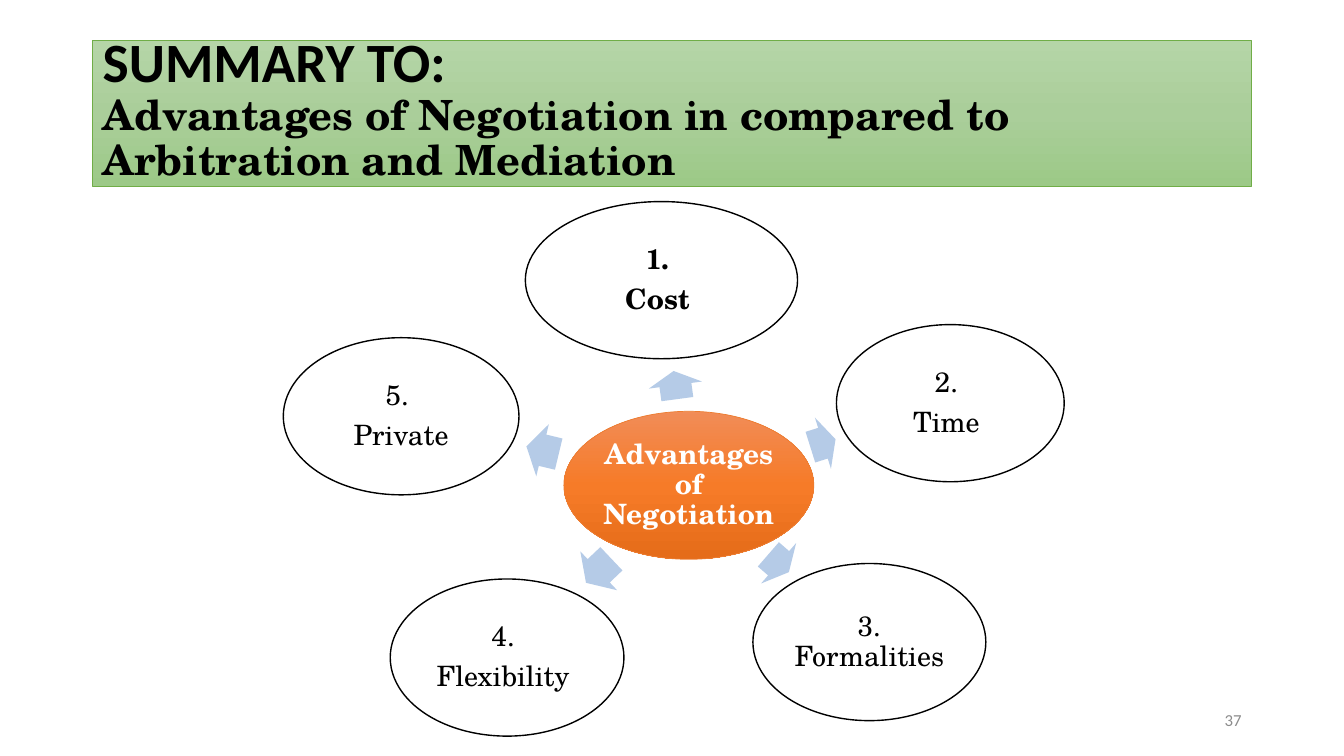
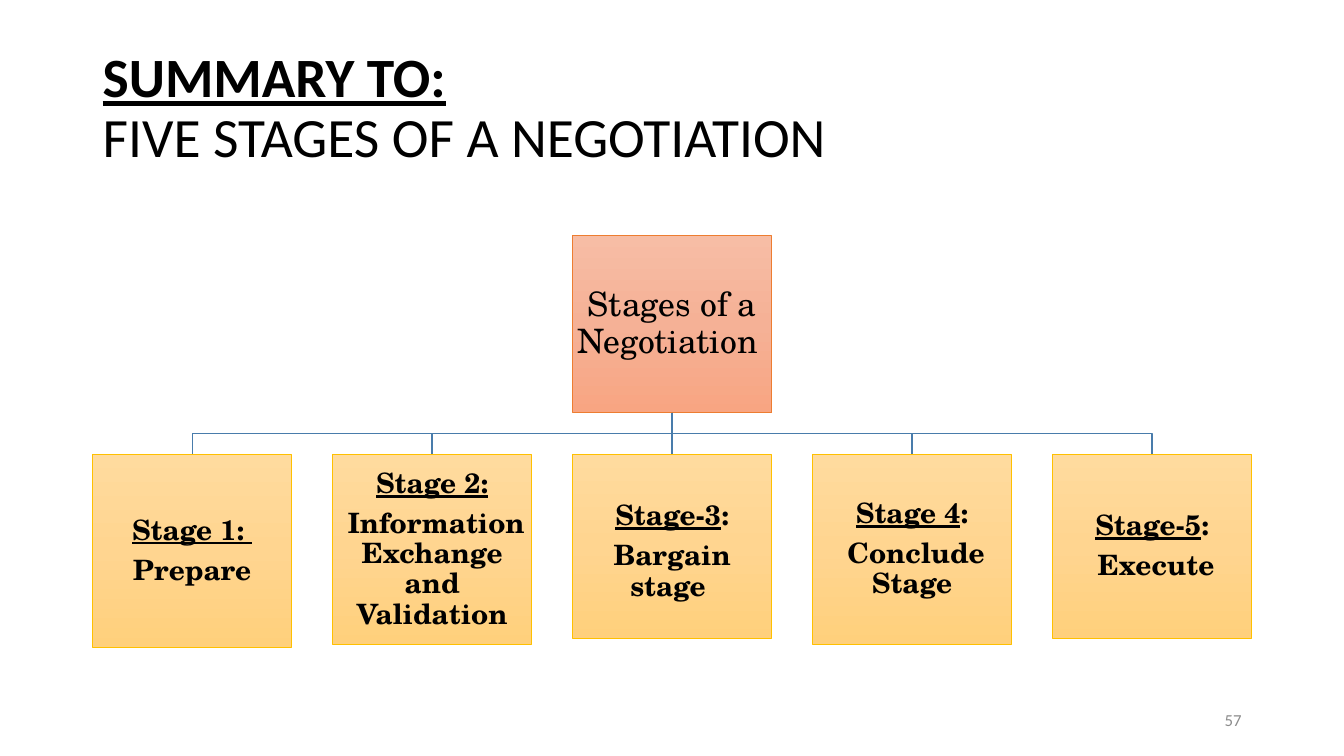
"""Build two summary slides on negotiation: advantages and stages."""
from copy import deepcopy
from math import atan2, cos, degrees, hypot, sin

from pptx import Presentation
from pptx.dml.color import RGBColor
from pptx.enum.shapes import MSO_CONNECTOR, MSO_SHAPE
from pptx.enum.text import MSO_ANCHOR, PP_ALIGN
from pptx.oxml.ns import qn
from pptx.util import Cm, Pt

COLORS = {
    "ink": "000000", "white": "FFFFFF", "gray": "8C8C8C",
    "arrow": "B5CBE7", "wire": "497CAB",
    "green": "70AD47", "orange": "ED7D31", "gold": "FFC000",
}
FADES = {
    "band": ("B5D5A7", "AACE9A", "9CC987"),
    "hub": ("F18C57", "F67B28", "E56C19"),
    "root": ("F7BDA5", "F5B196", "F8A582"),
    "stage": ("FFDB9E", "FFD590", "FFD07C"),
}
SANS, SERIF = "Calibri", "TeX Gyre Schola"

HEAD = (2.34, 1.02, 29.2, 3.68)
FOOT = (23.92, 17.67, 7.62, 1.02)

HUB = ("Advantages of Negotiation ", 17.36, 12.23, 6.3, 3.73)
NODES = [
    (["1. ", "Cost "], 16.67, 7.06, 6.86, True),
    (["2. ", "Time "], 23.95, 10.16, 5.74, False),
    (["3. Formalities"], 21.91, 16.18, 5.87, False),
    (["4. ", "Flexibility "], 12.78, 16.57, 5.89, False),
    (["5. ", "Private"], 10.11, 10.49, 5.94, False),
]
NODE_H = 3.96
ARROW_W, ARROW_PART = 1.35, 0.53

ROOT = ("Stages of a Negotiation ", 5.94, 4.46)
STAGES = [
    ("Stage 1: ", "", "Prepare", 4.85, 0),
    ("Stage 2:", "", " Information Exchange and Validation", 4.78, 0),
    ("Stage-3", ":", "Bargain stage ", 4.62, 0.3),
    ("Stage 4", ":", " Conclude Stage", 4.78, 0),
    ("Stage-5", ":", " Execute", 4.62, 0),
]
STAGE_W, STAGE_TOP = 5.01, 11.46


def rgb(name):
    return RGBColor.from_string(COLORS[name])


def write(shape, lines, size, font=SERIF, color="ink", bold=False,
          align=PP_ALIGN.CENTER, gap=7, inset=0.03):
    """Fill a shape with lines; each is a string or a list of (text, underline)."""
    frame = shape.text_frame
    frame.word_wrap = True
    frame.vertical_anchor = MSO_ANCHOR.MIDDLE
    frame.margin_left = frame.margin_right = Cm(inset)
    frame.margin_top = frame.margin_bottom = Cm(0.03)
    for i, line in enumerate(lines):
        para = frame.paragraphs[0] if i == 0 else frame.add_paragraph()
        para.alignment, para.line_spacing = align, 0.9
        if i and gap:
            para.space_before = Pt(gap)
        para.font.size, para.font.name = Pt(size), font
        para.font.bold, para.font.color.rgb = bold, rgb(color)
        for text, under in [(line, False)] if isinstance(line, str) else line:
            run = para.add_run()
            run.text = text
            if under:
                run.font.underline = True
    return frame


def fade(fill, tones):
    """Give a fill three evenly spaced stops from top to bottom."""
    fill.gradient()
    fill.gradient_angle = 270
    stops = fill.gradient_stops[0]._gs.getparent()
    stops.insert(1, deepcopy(stops[0]))
    for i, (stop, tone) in enumerate(zip(fill.gradient_stops, tones)):
        stop.color.rgb = RGBColor.from_string(tone)
        stop.position = i / 2


def draw(slide, kind, box, fill=None, line=None, width=0.5):
    shape = slide.shapes.add_shape(kind, *map(Cm, box))
    shape.shadow.inherit = False
    if fill in FADES:
        fade(shape.fill, FADES[fill])
    else:
        shape.fill.solid()
        shape.fill.fore_color.rgb = rgb(fill)
    if line:
        shape.line.color.rgb, shape.line.width = rgb(line), Pt(width)
    else:
        shape.line.fill.background()
    return shape


def oval(slide, x, y, w, h, *style):
    return draw(slide, MSO_SHAPE.OVAL, (x - w / 2, y - h / 2, w, h), *style)


def wire(slide, mid, base, x):
    """Join the root to a stage: straight below it, else with two bends."""
    bar = (base + STAGE_TOP) / 2
    if abs(x - mid) < 0.01:
        ends = map(Cm, (mid, base, mid, STAGE_TOP))
        line = slide.shapes.add_connector(MSO_CONNECTOR.STRAIGHT, *ends)
        props = line._element.spPr
        props.append(props.makeelement(qn("a:effectLst"), {}))
    else:
        pen = slide.shapes.build_freeform(Cm(mid), Cm(base))
        bends = [(mid, bar), (x, bar), (x, STAGE_TOP)]
        pen.add_line_segments([(Cm(a), Cm(b)) for a, b in bends], close=False)
        line = pen.convert_to_shape()
        line.shadow.inherit = False
        line.fill.background()
    line.line.color.rgb, line.line.width = rgb("wire"), Pt(1)


def start(deck, lines, number, band=False):
    """Add a slide with its title and number."""
    slide = deck.slides.add_slide(deck.slide_layouts[6])
    if band:
        head = draw(slide, MSO_SHAPE.RECTANGLE, HEAD, "band", "green")
    else:
        head = slide.shapes.add_textbox(*map(Cm, HEAD))
    frame = write(head, lines, 39.6, SANS, align=PP_ALIGN.LEFT, gap=0, inset=0.25)
    frame.margin_bottom = Cm(0.22)
    frame.paragraphs[0].font.bold = True
    foot = slide.shapes.add_textbox(*map(Cm, FOOT))
    write(foot, [number], 12, SANS, "gray", align=PP_ALIGN.RIGHT, inset=0.25)
    return slide, frame


def reach(w, h, turn):
    """Distance from an oval's centre to its edge at an angle."""
    return 1 / hypot(2 * cos(turn) / w, 2 * sin(turn) / h)


def gains(deck):
    title = ["SUMMARY TO:",
             "Advantages of Negotiation in compared to Arbitration and Mediation"]
    slide, frame = start(deck, title, "37", band=True)
    font = frame.paragraphs[1].font
    font.size, font.name, font.bold = Pt(29.7), SERIF, True
    text, hx, hy, hw, hh = HUB
    hub = oval(slide, hx, hy, hw, hh, "hub", "orange")
    write(hub, [text], 20, color="white", bold=True)
    for lines, x, y, w, bold in NODES:
        turn = atan2(y - hy, x - hx)
        near = reach(hw, hh, turn)
        far = hypot(x - hx, y - hy) - reach(w, NODE_H, turn)
        mid, size = (near + far) / 2, (far - near) * ARROW_PART
        box = (hx + mid * cos(turn) - size / 2,
               hy + mid * sin(turn) - ARROW_W / 2, size, ARROW_W)
        arrow = draw(slide, MSO_SHAPE.RIGHT_ARROW, box, "arrow")
        arrow.adjustments[0], arrow.adjustments[1] = 0.6, 0.5
        arrow.rotation = degrees(turn) % 360
        node = oval(slide, x, y, w, NODE_H, "white", "ink", 1)
        write(node, lines, 20, bold=bold)


def steps(deck):
    title = [[("SUMMARY TO:", True)], "FIVE STAGES OF A NEGOTIATION"]
    slide, _ = start(deck, title, "57")
    left, _, span, _ = HEAD
    step = (span - STAGE_W) / (len(STAGES) - 1)
    text, top, high = ROOT
    mid, base = left + span / 2, top + high
    root = draw(slide, MSO_SHAPE.RECTANGLE,
                (mid - STAGE_W / 2, top, STAGE_W, high), "root", "orange")
    write(root, [text], 24)
    for i, (name, mark, task, tall, drop) in enumerate(STAGES):
        x = left + i * step
        wire(slide, mid, base, x + STAGE_W / 2)
        card = draw(slide, MSO_SHAPE.RECTANGLE,
                    (x, STAGE_TOP, STAGE_W, tall), "stage", "gold")
        label = [(name, True)] + ([(mark, False)] if mark else [])
        frame = write(card, [label, task], 20, bold=True)
        if drop:
            frame.margin_top = Cm(drop)


def main():
    deck = Presentation()
    deck.slide_width, deck.slide_height = Cm(33.87), Cm(19.05)
    gains(deck)
    steps(deck)
    deck.save("out.pptx")


if __name__ == "__main__":
    main()
